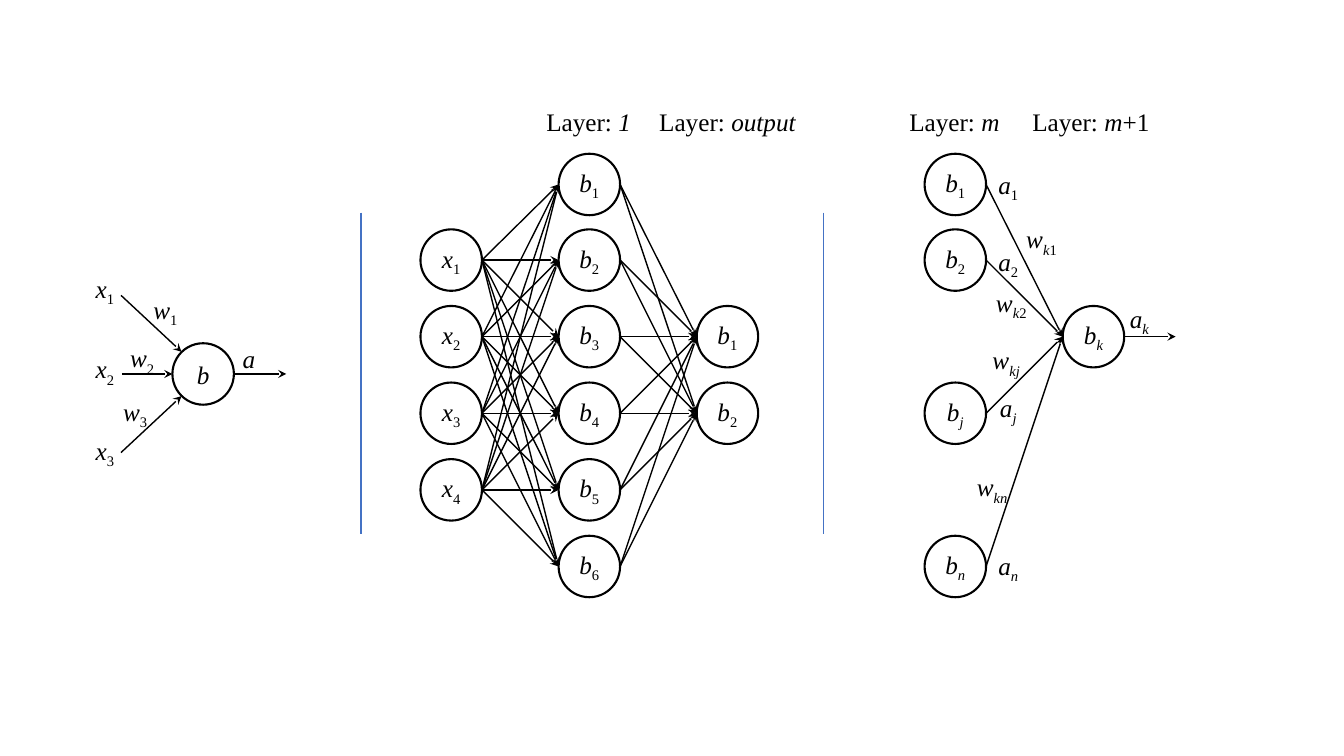
from itertools import groupby, product
from lxml.etree import SubElement
from pptx import Presentation
from pptx.dml.color import RGBColor
from pptx.enum.shapes import MSO_CONNECTOR, MSO_SHAPE
from pptx.enum.text import MSO_ANCHOR, MSO_AUTO_SIZE, PP_ALIGN
from pptx.oxml.ns import qn
from pptx.util import Emu, Pt

# Content: "_" starts a subscript; places in px, 100 to the inch
PX = 9144
WIDE, HIGH = 1333, 750
SIZE = 61
BLACK, BLUE = "000000", "4472C4"
ROWS = [183 + 758 * i // 10 for i in range(6)]

# Each column: left edge, then (symbol, row)
COLUMNS = {
    "input": (417, [("x_1", 1), ("x_2", 2), ("x_3", 3), ("x_4", 4)]),
    "hidden": (554, [(f"b_{i + 1}", i) for i in range(6)]),
    "output": (691, [("b_1", 2), ("b_2", 3)]),
    "m": (917, [("b_1", 0), ("b_2", 1), ("b_j", 3), ("b_n", 5)]),
    "next": (1054, [("b_k", 2)]),
}
LINKS = [("input", "hidden"), ("hidden", "output"), ("m", "next")]

NEURON = ("b", 171, 371)
ARROWS = [
    (120, 293, 180, 349), (121, 371, 171, 371), (120, 449, 180, 393),
    (232, 371, 284, 371), (1115, 334, 1166, 334),
]
RULES = [358, 817]
RULE_TOP, RULE_END = 211, 530

LABELS = [
    ("w_1", 134, 287), ("w_2", 111, 335), ("w_3", 104, 388),
    ("x_1", 74, 266), ("x_2", 74, 346), ("x_3", 74, 427), ("a", 217, 336),
    ("w_k1", 1003, 217), ("w_k2", 973, 280), ("w_kj", 968, 337),
    ("w_kn", 954, 463), ("a_1", 970, 163), ("a_2", 970, 239),
    ("a_j", 970, 384), ("a_n", 970, 541), ("a_k", 1100, 296),
]
# Heading: italic part, upright part, left, width
HEADS = [
    ("1", "", 532, 105), ("output", "", 644, 157),
    ("m", "", 892, 111), ("m", "+1", 1014, 140),
]
HEAD_TOP = 101

deck = Presentation()
deck.slide_width, deck.slide_height = Emu(WIDE * PX), Emu(HIGH * PX)
slide = deck.slides.add_slide(deck.slide_layouts[6])
shapes = slide.shapes


def px(*vals):
    return [Emu(int(v * PX)) for v in vals]


def paint(code):
    return RGBColor.from_string(code)


def symbol(text):
    """Split a symbol into runs of (text, italic, subscript)."""
    base, _, sub = text.partition("_")
    runs = [(base, True, False)]
    for digit, part in groupby(sub, str.isdigit):
        runs.append(("".join(part), not digit, True))
    return runs


def write(frame, runs, size=18, font="Times New Roman", color=BLACK,
          align=PP_ALIGN.CENTER):
    para = frame.paragraphs[0]
    para.alignment = align
    for text, italic, sub in runs:
        run = para.add_run()
        run.text = text
        run.font.size, run.font.name = Pt(size), font
        run.font.italic = italic
        run.font.color.rgb = paint(color)
        if sub:
            run._r.get_or_add_rPr().set("baseline", "-25000")


def node(text, left, mid):
    ring = shapes.add_shape(MSO_SHAPE.OVAL,
                            *px(left, mid - SIZE / 2, SIZE, SIZE))
    ring.shadow.inherit = False
    ring.fill.background()
    ring.line.color.rgb = paint(BLACK)
    ring.line.width = Pt(1.5)
    frame = ring.text_frame
    frame.margin_left = frame.margin_right = 0
    frame.margin_top = frame.margin_bottom = 0
    frame.word_wrap = False
    frame.vertical_anchor = MSO_ANCHOR.MIDDLE
    write(frame, symbol(text))


def line(ends, color=BLACK, arrow=True):
    link = shapes.add_connector(MSO_CONNECTOR.STRAIGHT, *px(*ends))
    link.line.color.rgb = paint(color)
    link.line.width = Pt(1)
    props = link._element.spPr
    if arrow:
        SubElement(props.get_or_add_ln(), qn("a:tailEnd"), type="stealth")
    SubElement(props, qn("a:effectLst"))


def label(runs, left, top, width=60, wrap=True, **form):
    box = shapes.add_textbox(*px(left, top, width, 40))
    box.text_frame.word_wrap = wrap
    box.text_frame.auto_size = MSO_AUTO_SIZE.SHAPE_TO_FIT_TEXT
    write(box.text_frame, runs, **form)


# Nodes
node(*NEURON)
for left, cells in COLUMNS.values():
    for text, row in cells:
        node(text, left, ROWS[row])

# Links between neighbouring layers
for start, end in LINKS:
    (x1, near), (x2, far) = COLUMNS[start], COLUMNS[end]
    for (_, r1), (_, r2) in product(near, far):
        line((x1 + SIZE, ROWS[r1], x2, ROWS[r2]))

# Single arrows and panel rules
for ends in ARROWS:
    line(ends)
for x in RULES:
    line((x, RULE_TOP, x, RULE_END), color=BLUE, arrow=False)

# Labels and headings
for text, left, top in LABELS:
    label(symbol(text), left, top)
for name, rest, left, width in HEADS:
    runs = [("Layer: ", False, False), (name, True, False)]
    if rest:
        runs.append((rest, False, False))
    label(runs, left, HEAD_TOP, width, wrap=False, align=PP_ALIGN.LEFT)

deck.save("out.pptx")
